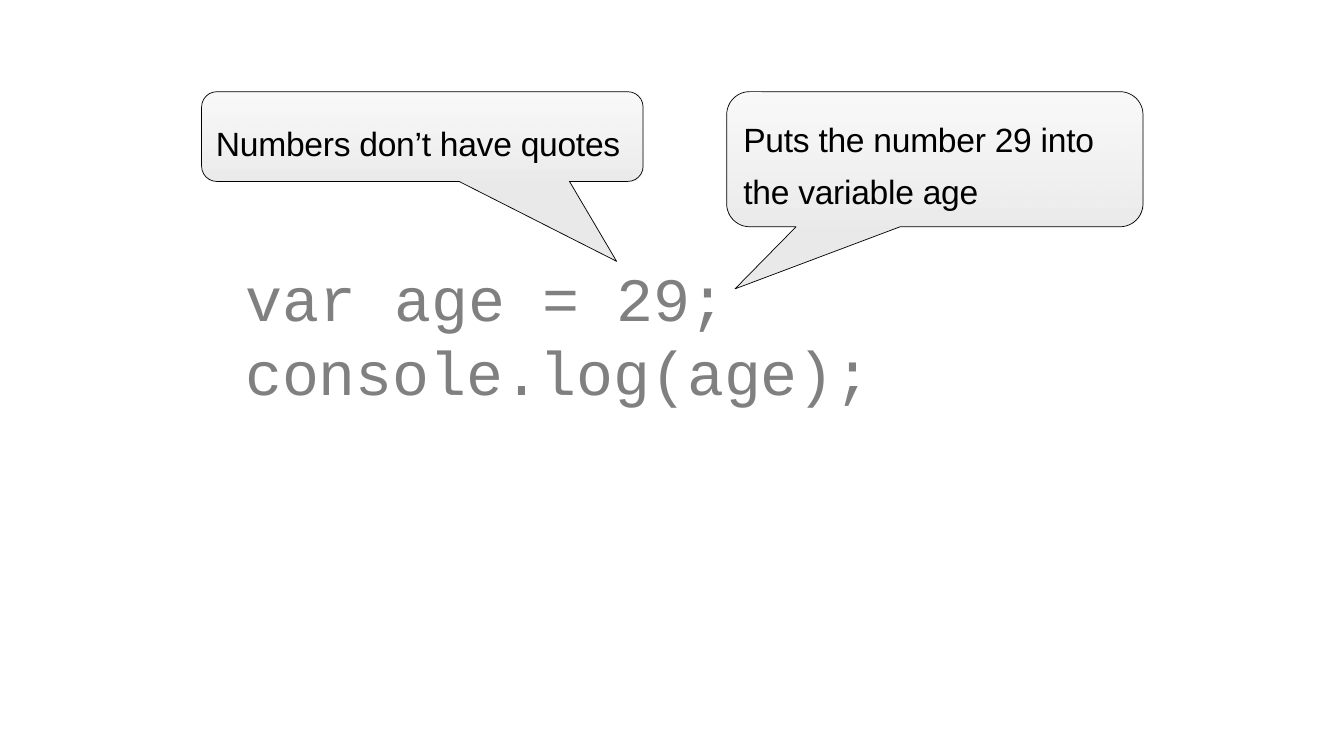
from lxml import etree
from pptx import Presentation
from pptx import util as u
from pptx.dml import color
from pptx.enum import shapes, text
from pptx.oxml import ns

COLORS = {"code": "808080", "ink": "000000"}
GRADIENT = [(0, "BDBDBD"), (35, "D1D1D1"), (100, "EEEEEE")]
GRADIENT_ALPHA = 31
CODE_LEFT, CODE_TOP, CODE_STEP, CODE_HEIGHT = 174.24, 185.76, 52.56, 53.28
CODE_LINES = [
    (345.6, [106.56, 264.96], [("var\t", 0), ("ag", -0.1), ("e =\t", 0), ("29;", -0.1)]),
    (450.72, [], [("console.log(age);", -0.1)]),
]
CALLOUTS = [
    ((144, 65.52, 315.36, 64.08), (0.44, 1.39, 0.17), "Numbers don’t have quotes"),
    ((519.12, 65.52, 297.36, 96.48), (-0.48, 0.96, 0.17), "Puts the number 29 into the variable age"),
]


def add_element(parent, tag, **attributes):
    return etree.SubElement(parent, ns.qn(tag), **attributes)


def add_run(paragraph, words, font_name, size, color_name, spacing):
    run = paragraph.add_run()
    run.text = words
    run.font.name = font_name
    run.font.size = u.Pt(size)
    run.font.color.rgb = color.RGBColor.from_string(COLORS[color_name])
    run.font._element.set("spc", str(round(spacing * 100)))


def add_code_line(slide, index, width, tabs, runs):
    top = CODE_TOP + index * CODE_STEP
    box = slide.shapes.add_textbox(*map(u.Pt, (CODE_LEFT, top, width, CODE_HEIGHT)))
    frame = box.text_frame
    frame.word_wrap = True
    frame.auto_size = text.MSO_AUTO_SIZE.SHAPE_TO_FIT_TEXT
    frame.margin_left = frame.margin_right = frame.margin_top = frame.margin_bottom = 0
    paragraph = frame.paragraphs[0]
    properties = paragraph._p.get_or_add_pPr()
    properties.set("marL", str(u.Pt(1)))
    if tabs:
        tab_list = add_element(properties, "a:tabLst")
        for position in tabs:
            add_element(tab_list, "a:tab", pos=str(u.Pt(position)), algn="l")
    for words, spacing in runs:
        add_run(paragraph, words, "Courier New", 44, "code", spacing)


def fill_gradient(shape):
    shape.fill.gradient()
    shape.fill.gradient_angle = 90
    stops = shape._element.spPr.find(".//" + ns.qn("a:gsLst"))
    for stop in list(stops):
        stops.remove(stop)
    for position, value in GRADIENT:
        stop = add_element(stops, "a:gs", pos=str(position * 1000))
        tint = add_element(stop, "a:srgbClr", val=value)
        add_element(tint, "a:alpha", val=str(GRADIENT_ALPHA * 1000))


def add_callout(slide, bounds, adjustments, words):
    shape = slide.shapes.add_shape(shapes.MSO_SHAPE.ROUNDED_RECTANGULAR_CALLOUT, *map(u.Pt, bounds))
    for index, value in enumerate(adjustments):
        shape.adjustments[index] = value
    shape.shadow.inherit = False
    fill_gradient(shape)
    shape.line.color.rgb = color.RGBColor.from_string(COLORS["ink"])
    shape.line.width = u.Pt(0.5)
    frame = shape.text_frame
    frame.word_wrap = True
    frame.vertical_anchor = text.MSO_ANCHOR.MIDDLE
    paragraph = frame.paragraphs[0]
    paragraph.alignment = text.PP_ALIGN.LEFT
    paragraph.line_spacing = 1.3
    add_run(paragraph, words, "Arial", 24, "ink", -0.2)


def main():
    presentation = Presentation()
    presentation.slide_width, presentation.slide_height = u.Pt(960), u.Pt(540)
    slide = presentation.slides.add_slide(presentation.slide_layouts[6])
    for index, code_line in enumerate(CODE_LINES):
        add_code_line(slide, index, *code_line)
    for callout in CALLOUTS:
        add_callout(slide, *callout)
    presentation.save("out.pptx")


if __name__ == "__main__":
    main()
